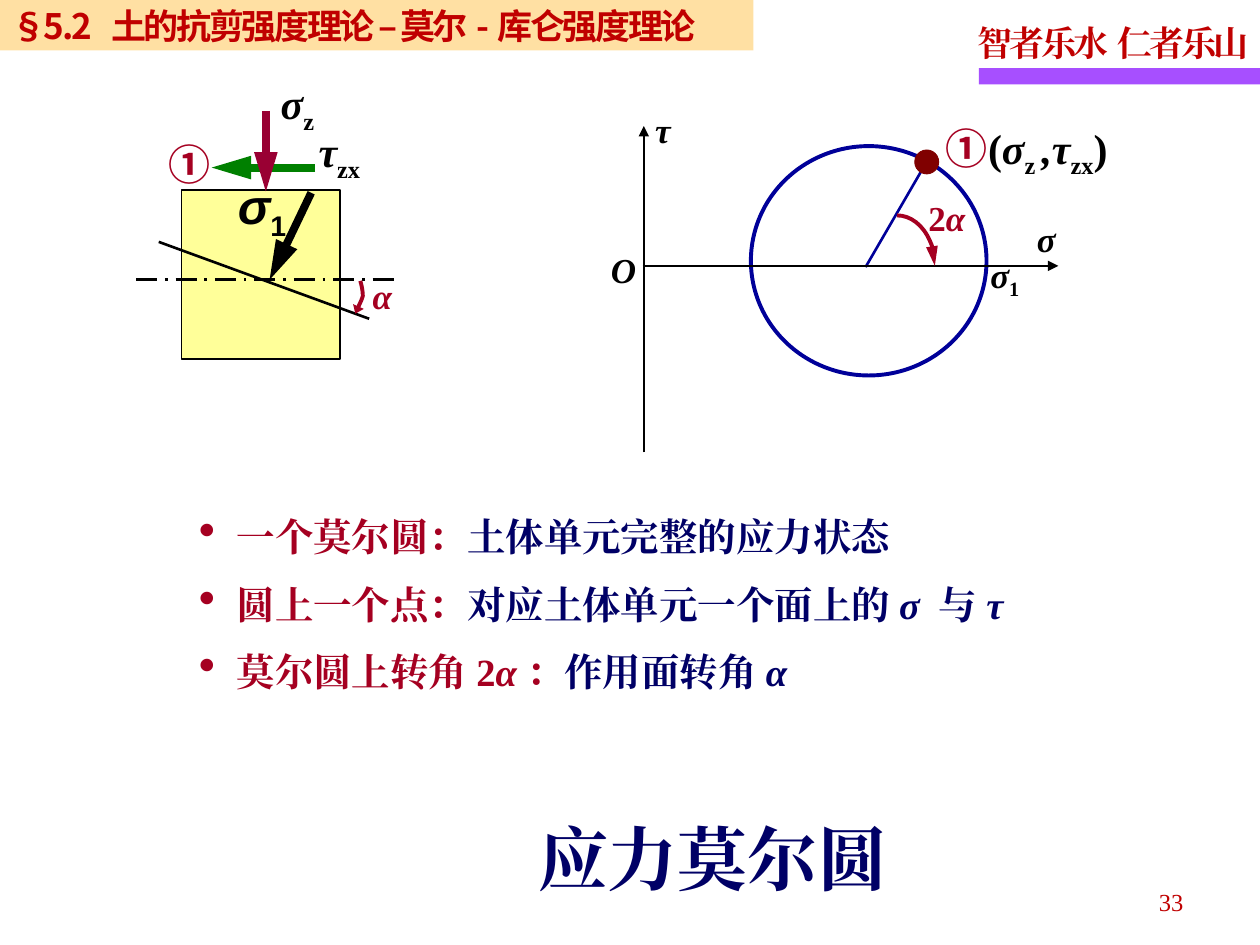
from lxml.etree import SubElement
from pptx import Presentation
from pptx.dml.color import RGBColor
from pptx.enum.dml import MSO_LINE
from pptx.enum.shapes import MSO_CONNECTOR, MSO_SHAPE
from pptx.enum.text import MSO_ANCHOR as ANCHOR, PP_ALIGN as ALIGN
from pptx.oxml.ns import qn
from pptx.util import Inches, Pt

C = dict(black="000000", navy="000066", blue="000099", red="C00000", crimson="A50021",
         maroon="800000", plum="990033", green="008000", purple="A74FFF",
         sand="FFCC66", yellow="FFFF99")
TIMES, ARIAL, CJK = "Times New Roman", "Arial", "Noto Sans CJK SC"

# Content: runs are (text, style, colour, font); i = italic, s = subscript
SECTION = [("§5.2  土的抗剪强度理论 – 莫尔-库仑强度理论", "", "red", CJK)]
MOTTO = [("智者乐水  仁者乐山", "", "red")]
TITLE = [("应力莫尔圆", "", "navy")]
POINT = ("①", "", "crimson", CJK)
BULLETS = [
    [("一个莫尔圆：", "", "crimson"), ("土体单元完整的应力状态", "", "navy")],
    [("圆上一个点：", "", "crimson"), ("对应土体单元一个面上的", "", "navy"),
     ("σ ", "i", "navy"), ("与", "", "navy"), ("τ", "i", "navy")],
    [("莫尔圆上转角2", "", "crimson"), ("α", "i", "crimson"), ("：", "", "crimson"),
     ("作用面转角", "", "navy"), ("α", "i", "navy")],
]
# Labels: box, size, runs, tight insets
CIRCLE_LABELS = [
    ((8.23, 1.72, 0.42, 0.36), 20, [("σ", "i")], True),
    ((5.2, 0.85, 0.42, 0.36), 20, [("τ", "i")], True),
    ((4.75, 1.92, 0.42, 0.43), 20, [("O", "i")], False),
    ((7.27, 1.51, 0.59, 0.43), 20, [("2", "", "crimson"), ("α", "i", "crimson")], False),
    ((7.86, 2, 0.64, 0.36), 20, [("σ", "i"), ("1", "s")], True),
    ((7.41, 0.92, 1.56, 0.5), 24,
     [POINT, ("(", ""), ("σ", "i"), ("z ", "s"), (",τ", "i"), ("zx", "s"), (")", "")], False),
]
ELEMENT_LABELS = [
    ((1.79, 1.34, 0.64, 0.57), 28, [("σ", "i", "black", ARIAL), ("1", "s", "black", ARIAL)], False),
    ((2.86, 2.13, 0.59, 0.43), 20, [("α", "i", "crimson")], False),
    ((2.13, 0.57, 0.5, 0.5), 24, [("σ", "i"), ("z", "s")], False),
    ((2.43, 0.95, 0.56, 0.5), 24, [("τ", "i"), ("zx", "s")], False),
    ((1.24, 1.05, 0.59, 0.5), 24, [POINT], False),
]
# Lines: start, end, colour, width, arrow length
CIRCLE_LINES = [
    ((7.34, 1.31), (6.87, 2.12), "blue", 1.5, None),
    ((5.11, 3.59), (5.11, 1), "black", 1.5, "med"),
    ((5.1, 2.11), (8.4, 2.11), "black", 1.5, "med"),
]
ELEMENT_LINES = [
    ((1.26, 1.92), (2.93, 2.53), "black", 1.5, None),
    ((2.47, 1.53), (2.14, 2.22), "black", 4.5, "lg"),
    ((2.5, 1.33), (1.68, 1.33), "green", 4.5, "lg"),
    ((2.11, 0.88), (2.11, 1.52), "plum", 4.5, "lg"),
]
ALPHA_CURVES = [
    ((2.82, 2.49), (2.83, 2.46), (2.87, 2.39), (2.88, 2.35)),
    ((2.88, 2.35), (2.88, 2.31), (2.87, 2.26), (2.86, 2.23)),
]

prs = Presentation()
prs.slide_width, prs.slide_height = Inches(10), Inches(7.5)
slide = prs.slides.add_slide(prs.slide_layouts[5])
shapes = slide.shapes


def rgb(name):
    return RGBColor.from_string(C[name])


def write(paragraph, runs, size, bold=True, spacing=0):
    for text, style, *rest in runs:
        color, font = (rest + ["black", TIMES][len(rest):])
        run = paragraph.add_run()
        run.text = text
        run.font.size, run.font.bold, run.font.italic = Pt(size), bold, style == "i"
        run.font.name, run.font.color.rgb = font, rgb(color)
        props = run.font._element
        if style == "s":
            props.set("baseline", "-25000")
        if spacing:
            props.set("spc", str(round(spacing * 100)))
        SubElement(props, qn("a:ea"), typeface=font)


def frame(shape, tight=False, anchor=ANCHOR.TOP, wrap=True):
    tf = shape.text_frame
    tf.word_wrap, tf.vertical_anchor = wrap, anchor
    tf.margin_left = tf.margin_right = Inches(0 if tight else 0.1)
    tf.margin_top = tf.margin_bottom = Inches(0.01 if tight else 0.05)
    return tf


def label(box, size, runs, tight=False, wrap=True, **style):
    tf = frame(shapes.add_textbox(*map(Inches, box)), tight, wrap=wrap)
    write(tf.paragraphs[0], runs, size, **style)
    return tf.paragraphs[0]


def block(kind, box, fill=None, line=None, width=1):
    shape = shapes.add_shape(kind, *map(Inches, box))
    return paint(shape, fill, line, width)


def paint(shape, fill, line, width):
    shape.shadow.inherit = False
    if fill:
        shape.fill.solid()
        shape.fill.fore_color.rgb = rgb(fill)
    else:
        shape.fill.background()
    if line:
        shape.line.color.rgb, shape.line.width = rgb(line), Pt(width)
    else:
        shape.line.fill.background()
    return shape


def arrow(shape, end="tailEnd", length="med"):
    SubElement(shape.line._get_or_add_ln(), qn("a:" + end), type="triangle", w="med", len=length)


def connect(start, end, color, width, head=None):
    line = shapes.add_connector(MSO_CONNECTOR.STRAIGHT, *map(Inches, start + end))
    line.line.color.rgb, line.line.width = rgb(color), Pt(width)
    SubElement(line._element.spPr, qn("a:effectLst"))
    if head:
        arrow(line, length=head)
    return line


def bezier(points, steps=8):
    for n in range(1, steps + 1):
        t = n / steps
        weights = ((1 - t) ** 3, 3 * t * (1 - t) ** 2, 3 * t * t * (1 - t), t ** 3)
        yield tuple(Inches(sum(w * p[axis] for w, p in zip(weights, points))) for axis in (0, 1))


# Header, motto and page number
block(MSO_SHAPE.RECTANGLE, (7.77, 0.54, 2.23, 0.13), "purple")
motto = label((7.66, 0.07, 2.36, 0.49), 20, MOTTO, wrap=False, spacing=-1.7)
motto.line_spacing = 1.15
page = label((7.16, 6.96, 2.33, 0.4), 14, [("33", "", "red")], bold=False)
page.alignment, page.line_spacing = ALIGN.RIGHT, 1.15
section = block(MSO_SHAPE.RECTANGLE, (-0.01, 0, 5.99, 0.4), "sand")
SubElement(section.fill._xPr.find(qn("a:solidFill"))[0], qn("a:alpha"), val="60000")
heading = frame(section, anchor=ANCHOR.MIDDLE).paragraphs[0]
heading.alignment = ALIGN.LEFT
write(heading, SECTION, 20, spacing=-1.4)

# Title
title = shapes.title
title.left, title.top, title.width, title.height = map(Inches, (4.17, 6.42, 3.34, 0.77))
name = frame(title).paragraphs[0]
name.alignment = ALIGN.LEFT
write(name, TITLE, 40)

# Mohr circle
block(MSO_SHAPE.OVAL, (5.96, 1.16, 1.87, 1.82), None, "blue", 2.25)
for item in CIRCLE_LINES:
    connect(*item)
block(MSO_SHAPE.OVAL, (7.26, 1.19, 0.19, 0.19), "maroon", "maroon", 0.5)
double_angle = block(MSO_SHAPE.ARC, (6.82, 1.71, 0.6, 0.8), None, "crimson", 2.25)
arrow(double_angle, length="lg")
for item in CIRCLE_LABELS:
    label(*item)

# Soil element with its stresses
block(MSO_SHAPE.RECTANGLE, (1.44, 1.51, 1.26, 1.34), "yellow", "black", 1)
axis = connect((1.08, 2.22), (3.13, 2.22), "black", 1.5)
axis.line.dash_style = MSO_LINE.LONG_DASH_DOT
for item in ELEMENT_LINES:
    connect(*item)
outline = shapes.build_freeform(*map(Inches, ALPHA_CURVES[0][0]))
outline.add_line_segments([p for curve in ALPHA_CURVES for p in bezier(curve)], close=False)
angle = paint(outline.convert_to_shape(), None, "crimson", 2.25)
arrow(angle, "headEnd", "sm")
for item in ELEMENT_LABELS:
    label(*item)

# Bullets
notes = frame(shapes.add_textbox(*map(Inches, (1.48, 3.93, 7.43, 1.64))))
for i, runs in enumerate(BULLETS):
    para = notes.add_paragraph() if i else notes.paragraphs[0]
    props = para._p.get_or_add_pPr()
    props.set("marL", str(Inches(0.3)))
    props.set("indent", str(-Inches(0.3)))
    SubElement(props, qn("a:buSzPct"), val="125000")
    SubElement(props, qn("a:buChar"), char="•")
    para.line_spacing, para.space_after = 1.25, Pt(2.9)
    if i:
        para.space_before = Pt(2.9)
    write(para, runs, 22)

prs.save("out.pptx")
